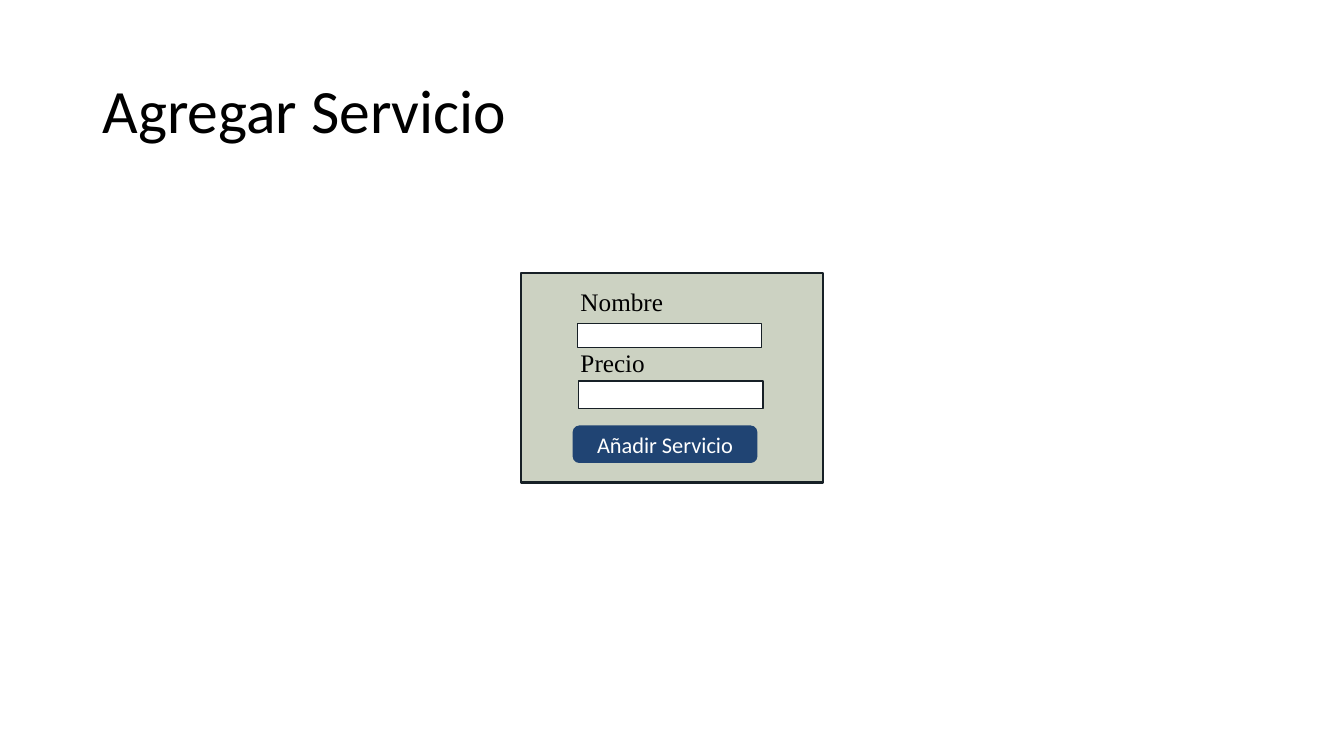
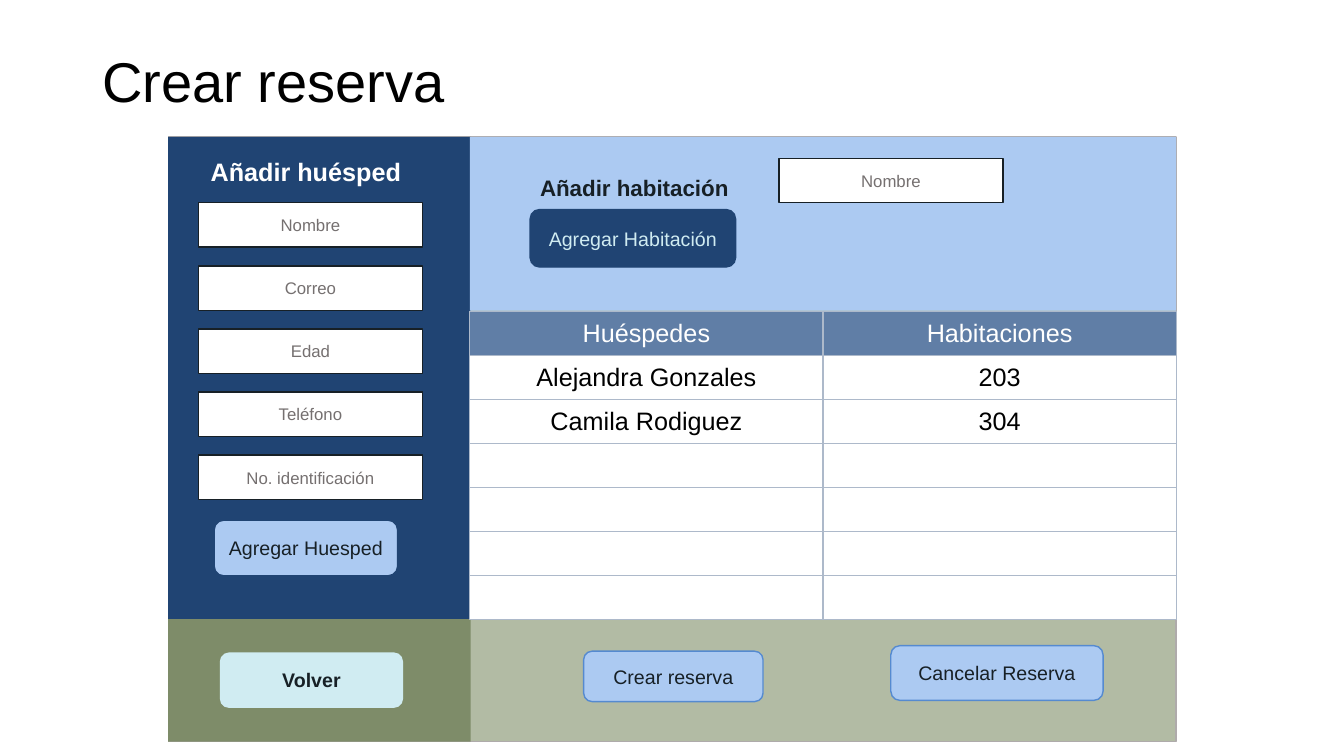
from lxml import etree
from pptx import Presentation
from pptx.dml.color import RGBColor
from pptx.enum.shapes import MSO_SHAPE
from pptx.enum.text import MSO_ANCHOR, PP_ALIGN
from pptx.oxml.ns import qn
from pptx.util import Cm, Pt

RECT, ROUND = MSO_SHAPE.RECTANGLE, MSO_SHAPE.ROUNDED_RECTANGLE
MIDDLE = MSO_ANCHOR.MIDDLE
LEFT, CENTER = PP_ALIGN.LEFT, PP_ALIGN.CENTER

BLACK = RGBColor(0x00, 0x00, 0x00)
WHITE = RGBColor(0xFF, 0xFF, 0xFF)
INK = RGBColor(0x17, 0x20, 0x26)
HINT = RGBColor(0x75, 0x70, 0x70)
NAVY = RGBColor(0x20, 0x44, 0x73)
STEEL = RGBColor(0x60, 0x7E, 0xA6)
BLUE = RGBColor(0x55, 0x8A, 0xD0)
SKY = RGBColor(0xAC, 0xCA, 0xF2)
ICE = RGBColor(0xD0, 0xEC, 0xF2)
PALE_SAGE = RGBColor(0xCC, 0xD2, 0xC2)
SAGE = RGBColor(0xB2, 0xBB, 0xA4)
OLIVE = RGBColor(0x7E, 0x8C, 0x69)
GREY = RGBColor(0xAF, 0xAB, 0xAB)
GRID = RGBColor(0xAD, 0xB9, 0xCA)


class Deck:
    """Holds the presentation, the current slide and its font."""

    def __init__(self):
        self.prs = Presentation()
        self.prs.slide_width, self.prs.slide_height = Cm(33.87), Cm(19.05)

    def new_slide(self, title, size, height, font):
        self.font = font
        self.s = self.prs.slides.add_slide(self.prs.slide_layouts[5])
        sp = self.s.shapes.title
        sp.left, sp.top, sp.width, sp.height = Cm(2.33), Cm(1.01), Cm(29.21), Cm(height)
        sp.text_frame.vertical_anchor = MIDDLE
        p = self.add_text(sp.text_frame, title, size, BLACK, LEFT)
        p.line_spacing = 0.9

    def add_text(self, tf, text, size, color, align=CENTER, bold=False, font=None):
        p = tf.paragraphs[0]
        p.alignment = align
        r = p.add_run()
        r.text = text
        r.font.name = font or self.font
        r.font.size = Pt(size)
        r.font.bold = bold
        r.font.color.rgb = color
        return p

    def box(self, x, y, w, h, fill, line=None, kind=RECT, weight=1):
        sp = self.s.shapes.add_shape(kind, Cm(x), Cm(y), Cm(w), Cm(h))
        sp.shadow.inherit = False
        sp.fill.solid()
        sp.fill.fore_color.rgb = fill
        if line is None:
            sp.line.fill.background()
        else:
            sp.line.color.rgb = line
            sp.line.width = Pt(weight)
        return sp

    def caption(self, sp, text, size, color, bold=False):
        """Centres text inside a shape."""
        tf = sp.text_frame
        tf.margin_left = tf.margin_right = tf.margin_top = tf.margin_bottom = 0
        tf.vertical_anchor = MIDDLE
        self.add_text(tf, text, size, color, bold=bold)

    def button(self, x, y, w, h, text, fill=SKY, line=None, color=INK, size=14, bold=False):
        self.caption(self.box(x, y, w, h, fill, line, ROUND), text, size, color, bold)

    def field(self, x, y, hint):
        self.caption(self.box(x, y, 5.65, 1.12, WHITE, INK), hint, 12, HINT)

    def label(self, x, y, w, text, size, color, bold=False, font=None):
        tf = self.s.shapes.add_textbox(Cm(x), Cm(y), Cm(w), Cm(1)).text_frame
        tf.word_wrap = True
        self.add_text(tf, text, size, color, LEFT, bold, font).space_after = Pt(6)

    def border(self, cell):
        tc_pr = cell._tc.get_or_add_tcPr()
        for side in ("a:lnL", "a:lnR", "a:lnT", "a:lnB"):
            ln = etree.SubElement(tc_pr, qn(side), w=str(Pt(1)))
            fill = etree.SubElement(ln, qn("a:solidFill"))
            etree.SubElement(fill, qn("a:srgbClr"), val=str(GRID))

    def table(self, x, y, w, row_h, rows):
        n_cols = len(rows[0])
        table = self.s.shapes.add_table(len(rows), n_cols, Cm(x), Cm(y),
                                        Cm(w), Cm(row_h * len(rows))).table
        table.horz_banding = False
        for i, row in enumerate(rows):
            table.rows[i].height = Cm(row_h)
            for j, text in enumerate(row):
                cell = table.cell(i, j)
                self.border(cell)
                cell.fill.solid()
                cell.fill.fore_color.rgb = WHITE if i else STEEL
                cell.vertical_anchor = MIDDLE
                if text:
                    self.add_text(cell.text_frame, text, 18, BLACK if i else WHITE)


def add_service(deck):
    deck.new_slide("Agregar Servicio", 44, 3.68, "Calibri")
    deck.box(13.13, 6.88, 7.62, 5.28, PALE_SAGE, INK, weight=1.5)
    deck.button(14.45, 10.74, 4.62, 0.91, "Añadir Servicio", NAVY, NAVY, WHITE, 16)
    for text, label_y, x, y, h in (("Nombre", 7.09, 14.55, 8.15, 0.61),
                                   ("Precio", 8.64, 14.58, 9.6, 0.69)):
        deck.label(14.38, label_y, 4, text, 18, BLACK, font="Times New Roman")
        deck.box(x, y, 4.65, h, WHITE, INK)


def create_booking(deck):
    deck.new_slide("Crear reserva", 40, 2.24, "Arial")
    left, top, side_w, foot_y = 4.24, 3.45, 7.62, 15.6
    main_x, main_w = 11.84, 17.8
    deck.box(left, top, 25.4, 15.24, SAGE, GREY)
    deck.box(left, top, side_w, foot_y - top, NAVY)
    deck.box(main_x, top, main_w, 4.38, SKY)
    deck.box(left, foot_y, side_w, 3.09, OLIVE)

    deck.label(5.06, 3.81, 5.92, "Añadir huésped", 18, WHITE, True)
    hints = ("Nombre", "Correo", "Edad", "Teléfono", "No. identificación")
    for i, hint in enumerate(hints):
        deck.field(5, 5.11 + 1.59 * i, hint)
    deck.button(5.4, 13.11, 4.62, 1.4, "Agregar Huesped", line=NAVY)

    deck.label(13.36, 4.27, 6.35, "Añadir habitación", 16, INK, True)
    deck.button(13.36, 5.28, 5.18, 1.45, "Agregar Habitación", NAVY, NAVY, ICE)
    deck.field(19.63, 3.99, "Nombre")

    rows = [("Huéspedes", "Habitaciones"),
            ("Alejandra Gonzales", "203"),
            ("Camila Rodiguez", "304")]
    deck.table(main_x, 7.85, main_w, 1.11, rows + [("", "")] * 4)

    deck.button(5.54, 16.44, 4.62, 1.4, "Volver", ICE, bold=True)
    deck.button(14.71, 16.41, 4.52, 1.27, "Crear reserva", line=BLUE)
    deck.button(22.45, 16.27, 5.35, 1.38, "Cancelar Reserva", line=BLUE)


def main():
    deck = Deck()
    add_service(deck)
    create_booking(deck)
    deck.prs.save("out.pptx")


if __name__ == "__main__":
    main()
